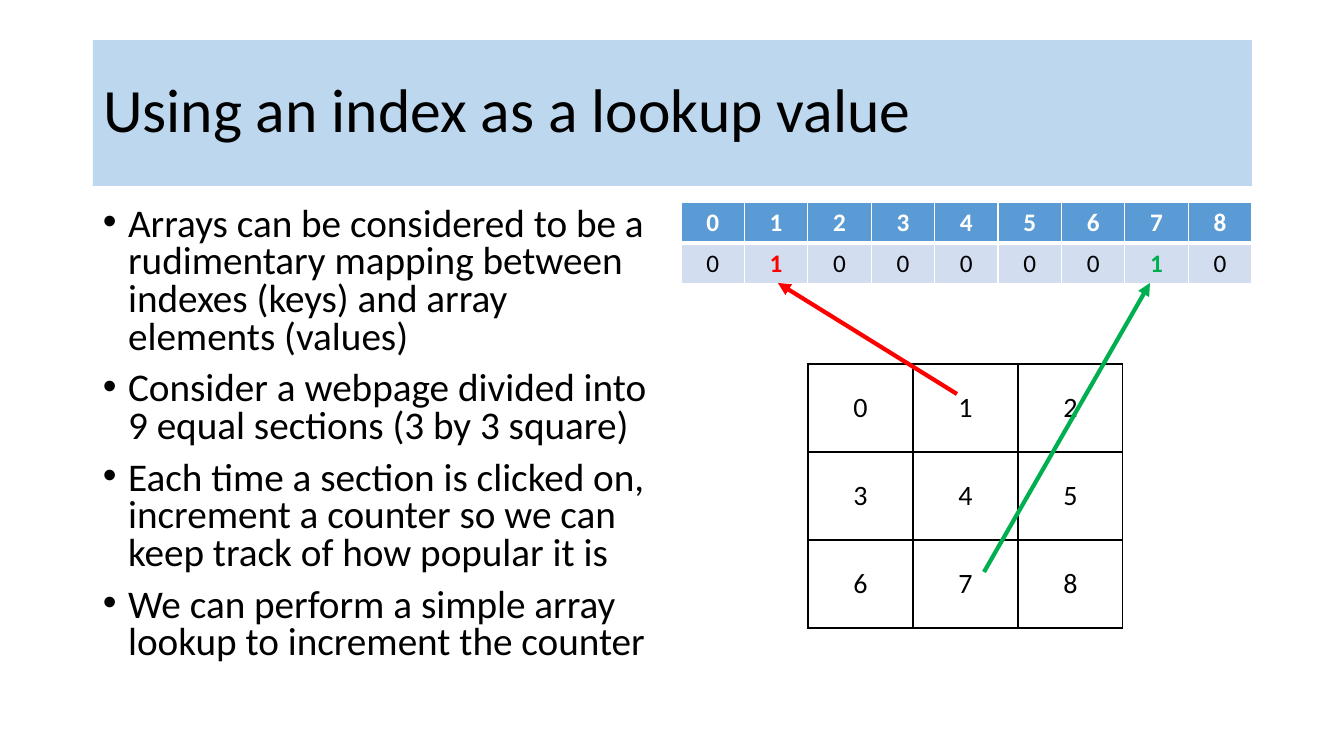
from lxml import etree
from pptx import Presentation
from pptx import util as u
from pptx.dml.color import RGBColor
from pptx.enum import shapes, text
from pptx.oxml import ns

W, H = 1344, 756
SCALE = 12192000 / W
FONT = "Calibri"
BLACK, WHITE, RED, GREEN = "000000", "FFFFFF", "FF0000", "00B050"
HEADER, BAND, BANNER = "5B9BD5", "D2DEEF", "BDD7EE"

TITLE = "Using an index as a lookup value"
BULLETS = [
    "Arrays can be considered to be a rudimentary mapping between indexes (keys) and array elements (values)",
    "Consider a webpage divided into 9 equal sections (3 by 3 square)",
    "Each time a section is clicked on, increment a counter so we can keep track of how popular it is",
    "We can perform a simple array lookup to increment the counter",
]
COUNTS = [0, 1, 0, 0, 0, 0, 0, 1, 0]
CLICKED = {1: RED, 7: GREEN}
SECTIONS = [[0, 1, 2], [3, 4, 5], [6, 7, 8]]
ARROWS = [
    ((957, 394), (778, 283), RED),
    ((984, 572), (1150, 283), GREEN),
]
TITLE_BOX = (93, 40, 1159, 146)
BODY_BOX = (93, 202, 572, 480)
ARRAY_BOX = (681, 202, 571, 82)
GRID_BOX = (808, 364, 315, 264)


def px(n):
    return u.Emu(round(n * SCALE))


def rgb(value):
    return RGBColor.from_string(value)


def fill(obj, color):
    obj.fill.solid()
    obj.fill.fore_color.rgb = rgb(color)


def apply(obj, values):
    for name, value in values.items():
        setattr(obj, name, value)


def style(p, size, color=BLACK, bold=False):
    apply(p.font, {"name": FONT, "size": u.Pt(size), "bold": bold})
    p.font.color.rgb = rgb(color)


def add(parent, tag, **attrs):
    return etree.SubElement(parent, ns.qn(tag), attrs)


def add_bullet(p):
    pPr = p._p.get_or_add_pPr()
    pPr.set("marL", "228600")
    pPr.set("indent", "-228600")
    add(pPr, "a:buFont", typeface="Arial")
    add(pPr, "a:buChar", char="•")


def border(cell, color, widths):
    tcPr = cell._tc.get_or_add_tcPr()
    for i, (side, width) in enumerate(zip("LRTB", widths)):
        ln = add(tcPr, f"a:ln{side}", w=str(u.Pt(width)))
        add(add(ln, "a:solidFill"), "a:srgbClr", val=color)
        tcPr.insert(i, ln)


def add_grid(s, box, rows):
    n, m = len(rows), len(rows[0])
    table = s.shapes.add_table(n, m, *map(px, box)).table
    for col in table.columns:
        col.width = px(box[2] / m)
    for row in table.rows:
        row.height = px(box[3] / n)
    for i, row in enumerate(rows):
        for j, value in enumerate(row):
            cell = table.cell(i, j)
            cell.text = str(value)
            cell.text_frame.paragraphs[0].alignment = text.PP_ALIGN.CENTER
            yield i, j, cell


def build():
    prs = Presentation()
    prs.slide_width, prs.slide_height = px(W), px(H)
    s = prs.slides.add_slide(prs.slide_layouts[5])

    title = s.shapes.title
    apply(title, dict(zip(("left", "top", "width", "height"), map(px, TITLE_BOX))))
    fill(title, BANNER)
    tf = title.text_frame
    tf.text = TITLE
    apply(tf, {"vertical_anchor": text.MSO_ANCHOR.MIDDLE,
               "auto_size": text.MSO_AUTO_SIZE.NONE, "word_wrap": True})
    apply(tf.paragraphs[0], {"alignment": text.PP_ALIGN.LEFT, "line_spacing": 0.9})
    style(tf.paragraphs[0], 44)

    tf = s.shapes.add_textbox(*map(px, BODY_BOX)).text_frame
    tf.word_wrap = True
    tf.text = "\n".join(BULLETS)
    for i, p in enumerate(tf.paragraphs):
        add_bullet(p)
        apply(p, {"line_spacing": 0.8, "space_before": u.Pt(10 if i else 0)})
        style(p, 28)

    for i, j, cell in add_grid(s, ARRAY_BOX, [range(len(COUNTS)), COUNTS]):
        fill(cell, BAND if i else HEADER)
        border(cell, WHITE, (1, 1, 3, 1) if i else (1, 1, 1, 3))
        color = CLICKED.get(j, BLACK) if i else WHITE
        style(cell.text_frame.paragraphs[0], 18, color, color != BLACK)

    for i, j, cell in add_grid(s, GRID_BOX, SECTIONS):
        fill(cell, WHITE)
        border(cell, BLACK, (1, 1, 1, 1))
        apply(cell, {"vertical_anchor": text.MSO_ANCHOR.MIDDLE,
                     "margin_left": px(6), "margin_right": px(6),
                     "margin_top": px(3), "margin_bottom": px(3)})
        style(cell.text_frame.paragraphs[0], 20)

    for start, end, color in ARROWS:
        arrow = s.shapes.add_connector(
            shapes.MSO_CONNECTOR.STRAIGHT, *map(px, start + end))
        arrow.line.color.rgb = rgb(color)
        arrow.line.width = u.Pt(3)
        add(arrow.line._get_or_add_ln(), "a:tailEnd", type="triangle")
        add(arrow._element.spPr, "a:effectLst")

    prs.save("out.pptx")


if __name__ == "__main__":
    build()
